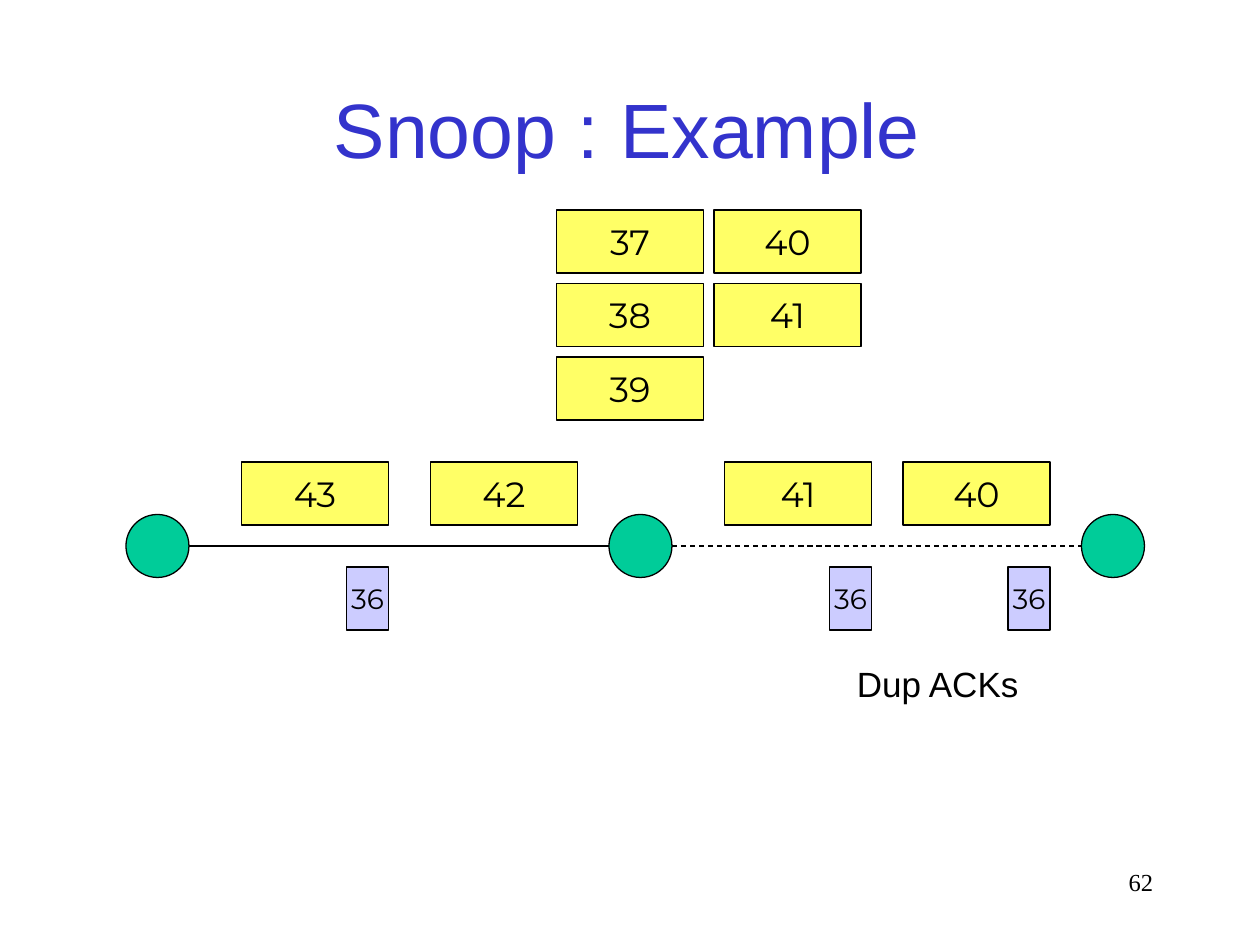
import pptx
import pptx.dml.color
import pptx.enum.dml
import pptx.enum.shapes
import pptx.enum.text
import pptx.util
from lxml import etree

Pt = pptx.util.Pt
ALIGN = pptx.enum.text.PP_ALIGN
ANCHOR = pptx.enum.text.MSO_ANCHOR
SHAPE = pptx.enum.shapes.MSO_SHAPE

BLACK = "000000"
TITLE_BLUE = "3333CC"
NODE_GREEN = "00CC99"
PACKET_YELLOW = "FFFF66"
ACK_LILAC = "CCCCFF"
PACKET_WIDTH, ACK_WIDTH, HEIGHT = 84, 24, 36


def color(hex_string):
    return pptx.dml.color.RGBColor.from_string(hex_string)


def write(frame, text, size, font, align, anchor, wrap=False, ink=BLACK):
    frame.word_wrap = wrap
    frame.vertical_anchor = anchor
    frame.text = text
    paragraph = frame.paragraphs[0]
    paragraph.alignment = align
    run_font = paragraph.runs[0].font
    run_font.size = Pt(size)
    run_font.name = font
    run_font.color.rgb = color(ink)


def add_label(slide, box, *style, **options):
    label = slide.shapes.add_textbox(*map(Pt, box))
    write(label.text_frame, *style, **options)
    return label


def add_outlined(slide, preset, box, fill):
    outlined = slide.shapes.add_shape(preset, *map(Pt, box))
    outlined.shadow.inherit = False
    outlined.fill.solid()
    outlined.fill.fore_color.rgb = color(fill)
    outlined.line.color.rgb = color(BLACK)
    outlined.line.width = Pt(0.75)
    return outlined


def add_segment(slide, left, top, width, fill, number, size):
    segment = add_outlined(slide, SHAPE.RECTANGLE, (left, top, width, HEIGHT), fill)
    write(segment.text_frame, number, size, "Montserrat", ALIGN.CENTER, ANCHOR.MIDDLE)


def add_packet(slide, left, top, number):
    add_segment(slide, left, top, PACKET_WIDTH, PACKET_YELLOW, number, 20)


def add_ack(slide, left, top, number):
    add_segment(slide, left, top, ACK_WIDTH, ACK_LILAC, number, 16)


def add_link(slide, start, end, y, dashed):
    link = slide.shapes.add_connector(
        pptx.enum.shapes.MSO_CONNECTOR.STRAIGHT, Pt(start), Pt(y), Pt(end), Pt(y))
    link.line.color.rgb = color(BLACK)
    link.line.width = Pt(0.75)
    if dashed:
        link.line.dash_style = pptx.enum.dml.MSO_LINE.DASH
    properties = link._element.spPr
    etree.SubElement(properties, pptx.oxml.ns.qn("a:effectLst"))


def add_cache(slide, left, top):
    for column, numbers in enumerate((("37", "38", "39"), ("40", "41"))):
        for row, number in enumerate(numbers):
            add_packet(slide, left + 90 * column, top + 42 * row, number)


def add_network(slide, left, top):
    node_top = top + 30
    nodes = [left + offset for offset in (0, 276, 546)]
    for node in nodes:
        add_outlined(slide, SHAPE.OVAL, (node, node_top, HEIGHT, HEIGHT), NODE_GREEN)
    for start, end, dashed in zip(nodes, nodes[1:], (False, True)):
        add_link(slide, start + HEIGHT, end, node_top + HEIGHT / 2, dashed)

    for offset, packet, ack in ((66, "43", "36"), (174, "42", None),
                                (342, "41", "36"), (444, "40", "36")):
        add_packet(slide, left + offset, top, packet)
        if ack:
            ack_left = left + offset + PACKET_WIDTH - ACK_WIDTH
            add_ack(slide, ack_left, top + 60, ack)

    dup_acks = add_label(slide, (left + 410.5, top + 111, 108, 31.5), "Dup ACKs", 20,
                         "Arial", ALIGN.LEFT, ANCHOR.TOP)
    dup_acks.text_frame.auto_size = pptx.enum.text.MSO_AUTO_SIZE.SHAPE_TO_FIT_TEXT


def main():
    presentation = pptx.Presentation()
    presentation.slide_width = Pt(720)
    presentation.slide_height = Pt(540)
    slide = presentation.slides.add_slide(presentation.slide_layouts[6])
    add_label(slide, (516, 492, 150, 36), "62", 14, "Times New Roman",
              ALIGN.RIGHT, ANCHOR.TOP, wrap=True)
    add_label(slide, (52.5, 28, 612, 90), "Snoop : Example", 44, "Arial",
              ALIGN.CENTER, ANCHOR.MIDDLE, wrap=True, ink=TITLE_BLUE)
    add_network(slide, 72, 264)
    add_cache(slide, 318, 120)
    presentation.save("out.pptx")


if __name__ == "__main__":
    main()
